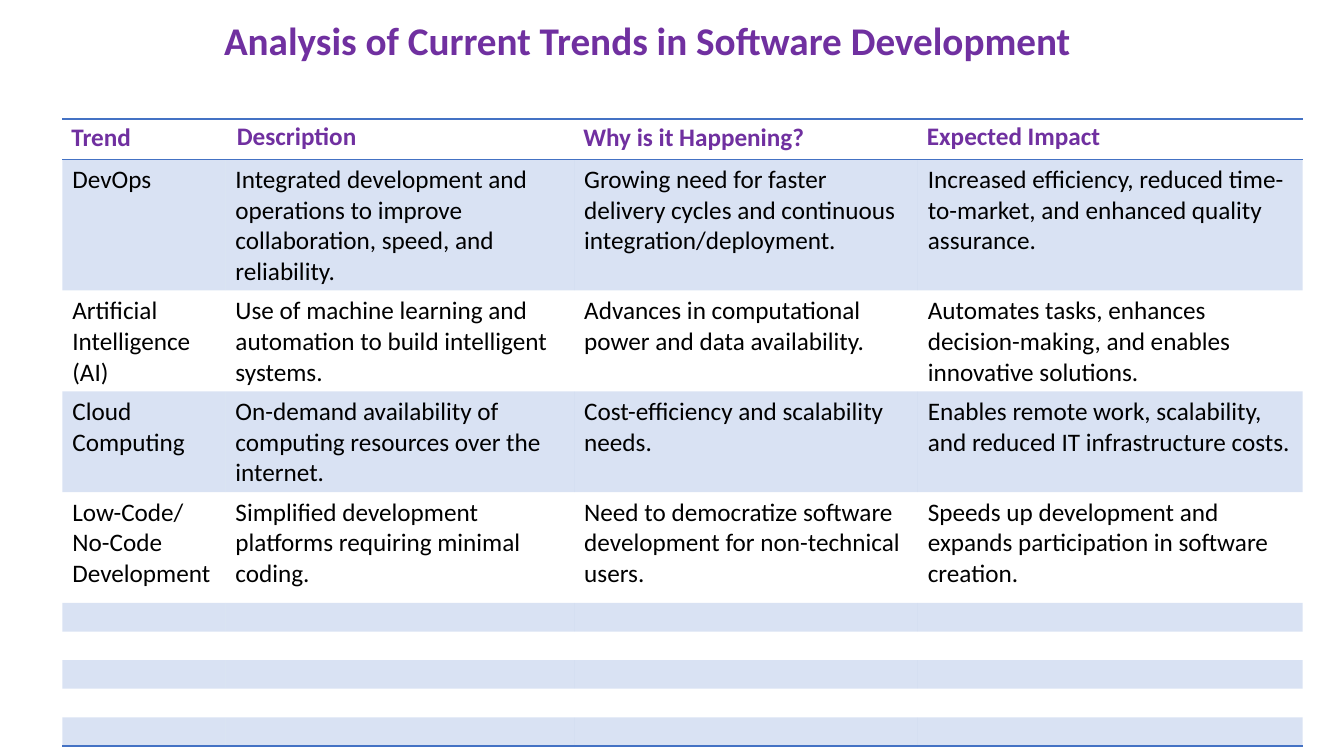
from dataclasses import dataclass

from lxml import etree
from pptx import Presentation
from pptx.dml.color import RGBColor
from pptx.enum.text import MSO_AUTO_SIZE, PP_ALIGN
from pptx.oxml.ns import qn
from pptx.util import Cm, Pt

LEFT = PP_ALIGN.LEFT
CENTER = PP_ALIGN.CENTER
GROW = MSO_AUTO_SIZE.SHAPE_TO_FIT_TEXT
PLAIN_TABLE_STYLE = "{2D5ABB26-0587-4C30-8999-92F81FD0307C}"


@dataclass(frozen=True)
class Theme:
    font: str = "Calibri"
    heading: str = "7030A0"
    body: str = "000000"
    accent: str = "4472C4"
    band_opacity: int = 20
    title_size: int = 28
    body_size: int = 18
    empty_size: int = 11
    rule_width: int = 1


THEME = Theme()

HEADINGS = [
    ("Trend", 1.55, 2.92, 3.15),
    ("Description", 5.72, 2.9, 3.91),
    ("Why is it Happening?", 14.45, 2.92, 6.96),
    ("Expected Impact", 23.11, 2.9, 6.15),
]
TRENDS = [
    ("DevOps",
     "Integrated development and operations to improve collaboration, speed, and reliability.",
     "Growing need for faster delivery cycles and continuous integration/deployment.",
     "Increased efficiency, reduced time-to-market, and enhanced quality assurance."),
    ("Artificial Intelligence (AI)",
     "Use of machine learning and automation to build intelligent systems.",
     "Advances in computational power and data availability.",
     "Automates tasks, enhances decision-making, and enables innovative solutions."),
    ("Cloud Computing",
     "On-demand availability of computing resources over the internet.",
     "Cost-efficiency and scalability needs.",
     "Enables remote work, scalability, and reduced IT infrastructure costs."),
    ("Low-Code/No-Code Development",
     "Simplified development platforms requiring minimal coding.",
     "Need to democratize software development for non-technical users.",
     "Speeds up development and expands participation in software creation."),
]
COLUMN_WIDTHS = [4.11, 8.79, 8.66, 9.7]
EMPTY_ROWS = 5
ROW_HEIGHTS = [0.94, 2.79, 2.13, 2.13, 2.79] + [0.61] * EMPTY_ROWS


def add_run(paragraph, text, size, color, bold=False):
    run = paragraph.add_run()
    run.text = text
    run.font.name = THEME.font
    run.font.size = Pt(size)
    run.font.bold = bold
    run.font.color.rgb = RGBColor.from_string(color)


def add_heading(slide, text, left, top, width, height, size, align=LEFT):
    heading = slide.shapes.add_textbox(Cm(left), Cm(top), Cm(width), Cm(height))
    frame = heading.text_frame
    frame.word_wrap = True
    frame.auto_size = GROW
    paragraph = frame.paragraphs[0]
    paragraph.alignment = align
    add_run(paragraph, text, size, THEME.heading, bold=True)


def size_empty_cell(cell, size):
    end = etree.SubElement(cell.text_frame.paragraphs[0]._p, qn("a:endParaRPr"))
    end.set("sz", str(size * 100))


def add_solid_fill(parent, color):
    fill = etree.SubElement(parent, qn("a:solidFill"))
    return etree.SubElement(fill, qn("a:srgbClr"), val=color)


def rule_cell(cell, edges):
    for edge in edges:
        rule = etree.SubElement(cell._tc.get_or_add_tcPr(), qn(f"a:ln{edge}"))
        rule.set("w", str(Pt(THEME.rule_width)))
        add_solid_fill(rule, THEME.accent)


def fill_cell(cell, banded):
    if banded:
        color = add_solid_fill(cell._tc.get_or_add_tcPr(), THEME.accent)
        etree.SubElement(color, qn("a:alpha"), val=str(THEME.band_opacity * 1000))
    else:
        cell.fill.background()


def add_trend_table(slide):
    row_count, column_count = len(ROW_HEIGHTS), len(COLUMN_WIDTHS)
    frame = slide.shapes.add_table(
        row_count, column_count, Cm(1.57), Cm(3), Cm(31.24), Cm(16.31))
    table = frame.table
    table._tbl.tblPr.find(qn("a:tableStyleId")).text = PLAIN_TABLE_STYLE
    table.first_row = False
    table.horz_banding = False
    for column, width in zip(table.columns, COLUMN_WIDTHS):
        column.width = Cm(width)
    for row, height in zip(table.rows, ROW_HEIGHTS):
        row.height = Cm(height)

    edges = {0: "TB", row_count - 1: "B"}
    for row_index, row in enumerate(table.rows):
        for column_index, cell in enumerate(row.cells):
            rule_cell(cell, edges.get(row_index, ""))
            fill_cell(cell, row_index % 2 == 1)
            if row_index == 0:
                size_empty_cell(cell, THEME.body_size)
            elif row_index <= len(TRENDS):
                add_run(cell.text_frame.paragraphs[0],
                        TRENDS[row_index - 1][column_index],
                        THEME.body_size, THEME.body)
            else:
                size_empty_cell(cell, THEME.empty_size)


def main():
    deck = Presentation()
    deck.slide_width, deck.slide_height = Cm(33.87), Cm(19.05)
    slide = deck.slides.add_slide(deck.slide_layouts[6])
    add_heading(slide, "Analysis of Current Trends in Software Development",
                2.34, 0.28, 27.94, 1.45, THEME.title_size, CENTER)
    for text, left, top, width in HEADINGS:
        add_heading(slide, text, left, top, width, 1.02, THEME.body_size)
    add_trend_table(slide)
    deck.save("out.pptx")


if __name__ == "__main__":
    main()
